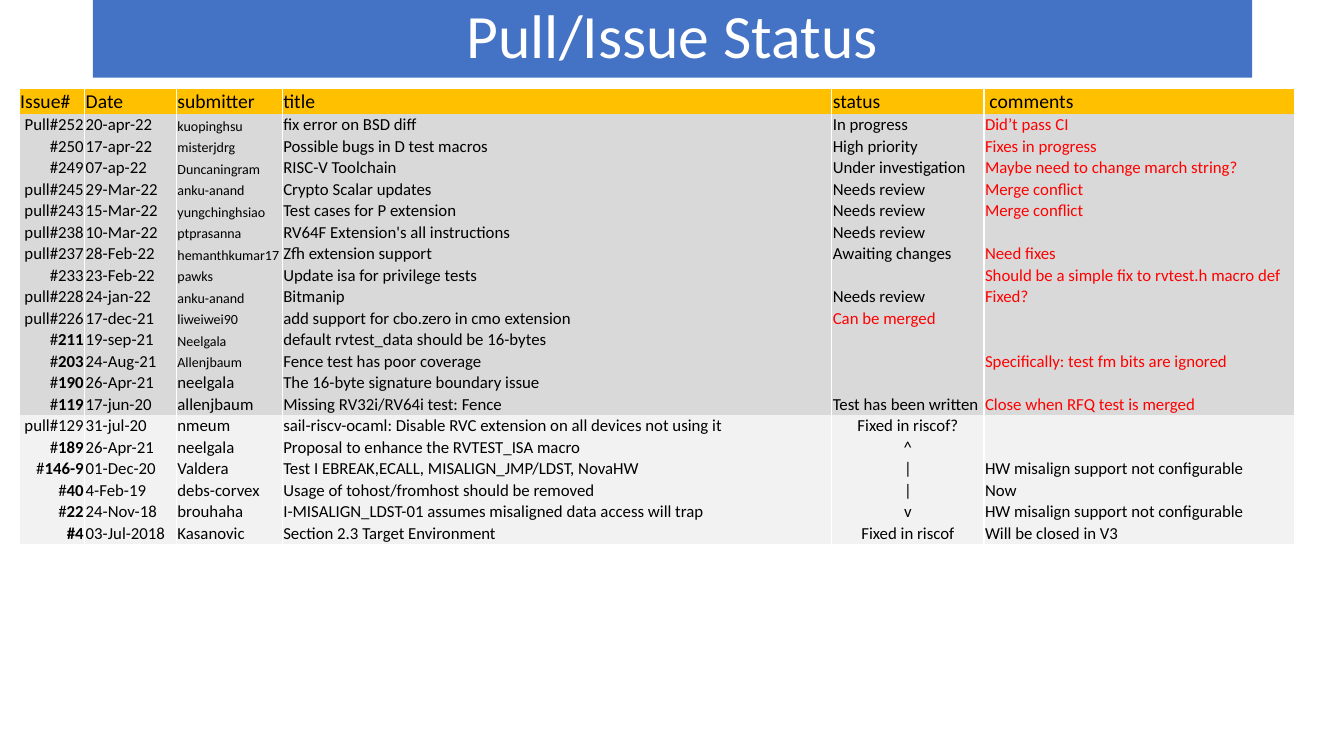
from lxml.etree import SubElement as Sub
from pptx import Presentation
from pptx.dml.color import RGBColor as RGB
from pptx.enum.text import MSO_ANCHOR as Anchor, MSO_AUTO_SIZE as Fit, PP_ALIGN as Align
from pptx.oxml import parse_xml
from pptx.oxml.ns import nsdecls, qn
from pptx.util import Inches, Pt

BLUE = RGB(0x44, 0x72, 0xC4)
GOLD = RGB(0xFF, 0xC0, 0x00)
GREY = RGB(0xD9, 0xD9, 0xD9)
PALE = RGB(0xF2, 0xF2, 0xF2)
RED = RGB(0xFF, 0x00, 0x00)
BLACK = RGB(0x00, 0x00, 0x00)
WHITE = RGB(0xFF, 0xFF, 0xFF)
PLAIN = "{2D5ABB26-0587-4C30-8999-92F81FD0307C}"  # table style without grid

HEAD = ("Issue#", "Date", "submitter", "title", "status", " comments")
OPEN = [
    ("Pull#252", "20-apr-22", "kuopinghsu", "fix error on BSD diff", "In progress", "Did’t pass CI"),
    ("#250", "17-apr-22", "misterjdrg", "Possible bugs in D test macros", "High priority",
     "Fixes in progress"),
    ("#249", "07-ap-22", "Duncaningram", "RISC-V Toolchain", "Under investigation",
     "Maybe need to change march string?"),
    ("pull#245", "29-Mar-22", "anku-anand", "Crypto Scalar updates", "Needs review", "Merge conflict"),
    ("pull#243", "15-Mar-22", "yungchinghsiao", "Test cases for P extension", "Needs review",
     "Merge conflict"),
    ("pull#238", "10-Mar-22", "ptprasanna", "RV64F Extension's all instructions", "Needs review", ""),
    ("pull#237", "28-Feb-22", "hemanthkumar17", "Zfh extension support", "Awaiting changes",
     "Need fixes"),
    ("#233", "23-Feb-22", "pawks", "Update isa for privilege tests", "",
     "Should be a simple fix to rvtest.h macro def"),
    ("pull#228", "24-jan-22", "anku-anand", "Bitmanip", "Needs review", "Fixed?"),
    ("pull#226", "17-dec-21", "liweiwei90", "add support for cbo.zero in cmo extension",
     "Can be merged", ""),
    ("#211", "19-sep-21", "Neelgala", "default rvtest_data should be 16-bytes", "", ""),
    ("#203", "24-Aug-21", "Allenjbaum", "Fence test has poor coverage", "",
     "Specifically: test fm bits are ignored"),
    ("#190", "26-Apr-21", "neelgala", "The 16-byte signature boundary issue", "", ""),
    ("#119", "17-jun-20", "allenjbaum", "Missing RV32i/RV64i test: Fence", "Test has been written",
     "Close when RFQ test is merged"),
]
LATER = [
    ("pull#129", "31-jul-20", "nmeum",
     "sail-riscv-ocaml: Disable RVC extension on all devices not using it", "Fixed in riscof?", ""),
    ("#189", "26-Apr-21", "neelgala", "Proposal to enhance the RVTEST_ISA macro", "^", ""),
    ("#146-9", "01-Dec-20", "Valdera", "Test I EBREAK,ECALL, MISALIGN_JMP/LDST, NovaHW", "|",
     "HW misalign support not configurable"),
    ("#40", "4-Feb-19", "debs-corvex", "Usage of tohost/fromhost should be removed", "|", "Now"),
    ("#22", "24-Nov-18", "brouhaha", "I-MISALIGN_LDST-01 assumes misaligned data access will trap",
     "v", "HW misalign support not configurable"),
    ("#4", "03-Jul-2018", "Kasanovic", "Section 2.3 Target Environment", "Fixed in riscof",
     "Will be closed in V3"),
]
ROWS = [HEAD] + OPEN + LATER
WIDTHS = (0.65, 0.91, 1.05, 5.45, 1.51, 3.08)
SMALL = 12  # last row with small submitter names
BOLD = 11   # first row with bold issue numbers
MID = 18    # first row with status anchored in the middle


def apply(item, **form):
    for name, value in form.items():
        setattr(item, name, value)


class Page:
    """Holds the font and the current slide."""

    def __init__(self, deck, font):
        self.font = font
        self.slide = deck.slides.add_slide(deck.slide_layouts[5])

    def label(self, para, text, size, color, bold=False):
        run = para.add_run()
        run.text = text
        apply(run.font, name=self.font, size=Pt(size), bold=bold)
        run.font.color.rgb = color

    def title(self, text, x, y, w, h):
        box = self.slide.shapes.title
        apply(box, left=Inches(x), top=Inches(y), width=Inches(w), height=Inches(h))
        box.fill.solid()
        box.fill.fore_color.rgb = BLUE
        apply(box.text_frame, vertical_anchor=Anchor.MIDDLE, word_wrap=True, auto_size=Fit.NONE)
        para = box.text_frame.paragraphs[0]
        apply(para, alignment=Align.CENTER, line_spacing=0.9)
        self.label(para, text, 44, WHITE)

    def table(self, rows, x, y, widths, top, step):
        high = top + step * (len(rows) - 1)
        frame = self.slide.shapes.add_table(
            len(rows), len(widths), Inches(x), Inches(y), Inches(sum(widths)), Inches(high))
        grid = frame.table
        apply(grid, first_row=False, horz_banding=False)
        grid._tbl.tblPr.find(qn("a:tableStyleId")).text = PLAIN
        for col, width in zip(grid.columns, widths):
            col.width = Inches(width)
        for i, row in enumerate(rows):
            grid.rows[i].height = Inches(step if i else top)
            for j, text in enumerate(row):
                self.cell(grid.cell(i, j), text, i, j)

    def cell(self, cell, text, i, j):
        late = i > len(OPEN)
        edge = Inches(0.01)
        mid = j == 4 and i >= MID
        apply(cell, margin_left=edge, margin_top=edge, margin_right=edge, margin_bottom=0,
              vertical_anchor=Anchor.MIDDLE if mid else Anchor.BOTTOM)
        cell.fill.solid()
        cell.fill.fore_color.rgb = PALE if late else GREY if i else GOLD
        self.edges(cell, ("lnL", "lnR") if i else ("lnL", "lnR", "lnT"))

        para = cell.text_frame.paragraphs[0]
        if i and j == 0:
            para.alignment = Align.RIGHT
        elif late and j == 4:
            para.alignment = Align.CENTER
        size = 14 if i == 0 else 10 if j == 2 and i <= SMALL else 12
        red = 0 < i <= len(OPEN) and (j == 5 or text == "Can be merged")
        color = RED if red else BLACK
        if not text:
            Sub(para._p, qn("a:endParaRPr"), sz=str(size * 100))
        elif j == 0 and i >= BOLD and text.startswith("#"):
            self.label(para, "#", size, color, i == len(ROWS) - 1)
            self.label(para, text[1:], size, color, True)
        else:
            self.label(para, text, size, color)

    def edges(self, cell, sides):
        props = cell._tc.get_or_add_tcPr()
        for k, side in enumerate(sides):
            props.insert(k, parse_xml(
                f'<a:{side} {nsdecls("a")} w="12700"><a:solidFill>'
                f'<a:srgbClr val="{WHITE}"/></a:solidFill></a:{side}>'))


def main():
    deck = Presentation()
    apply(deck, slide_width=Inches(13.33), slide_height=Inches(7.5))
    page = Page(deck, "Calibri")
    # Banner
    page.title("Pull/Issue Status", 0.92, 0, 11.5, 0.77)
    # Issue list
    page.table(ROWS, 0.19, 0.88, WIDTHS, 0.24, 0.21)
    deck.save("out.pptx")


if __name__ == "__main__":
    main()
